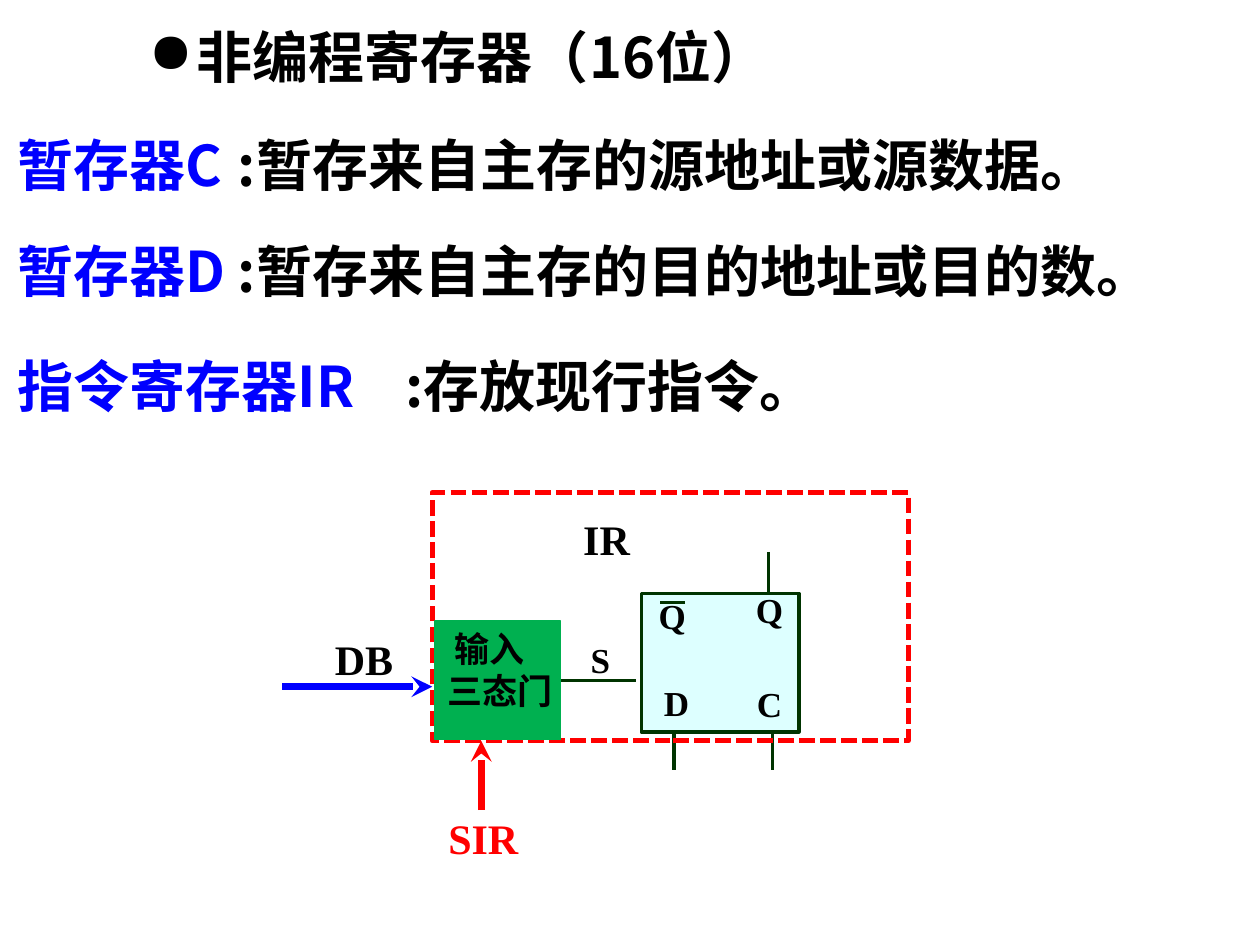
import pptx
import pptx.util
import pptx.dml.color
import pptx.enum.dml
import pptx.enum.shapes
import pptx.enum.text
import pptx.oxml
import pptx.oxml.ns
from pptx.util import Inches

BLACK, BLUE, RED = "000000", "0000FF", "FF0000"
GREEN, DARK_GREEN, PALE_CYAN = "00B050", "003400", "DDFFFF"
CHINESE_FONT, LATIN_FONT = "Noto Sans CJK SC", "Times New Roman"


def color(value):
    return pptx.dml.color.RGBColor.from_string(value)


def add_element(parent, tag, **attributes):
    element = pptx.oxml.parse_xml(f"<a:{tag} {pptx.oxml.ns.nsdecls('a')}/>")
    for name, value in attributes.items():
        element.set(name, value)
    parent.append(element)


class SlideBuilder:
    def __init__(self, slide):
        self.slide = slide

    def place(self, shape, left, top, width, height):
        shape.left, shape.top = Inches(left), Inches(top)
        shape.width, shape.height = Inches(width), Inches(height)

    def fill_text(self, shape, text, size, font, ink, wrap=True):
        frame = shape.text_frame
        frame.text = text
        frame.word_wrap = wrap
        frame.auto_size = pptx.enum.text.MSO_AUTO_SIZE.NONE
        frame.vertical_anchor = pptx.enum.text.MSO_ANCHOR.TOP
        for paragraph in frame.paragraphs:
            paragraph.alignment = pptx.enum.text.PP_ALIGN.LEFT
            for run in paragraph.runs:
                run.font.size = pptx.util.Pt(size)
                run.font.bold = True
                run.font.color.rgb = color(ink)
                run.font.name = font
                add_element(run._r.get_or_add_rPr(), "ea", typeface=font)

    def title(self, text, left, top, width, height):
        shape = self.slide.shapes.title
        self.place(shape, left, top, width, height)
        self.fill_text(shape, text, 32, CHINESE_FONT, BLACK)
        properties = shape.text_frame.paragraphs[0]._p.get_or_add_pPr()
        properties.set("marL", str(Inches(0.38)))
        properties.set("indent", str(Inches(-0.38)))
        add_element(properties, "buChar", char="●")

    def text(self, text, left, top, width, height, size, font=LATIN_FONT, ink=BLACK, wrap=True):
        shape = self.slide.shapes.add_textbox(
            Inches(left), Inches(top), Inches(width), Inches(height))
        self.fill_text(shape, text, size, font, ink, wrap)

    def box(self, left, top, width, height, fill, ink, weight, dash=None):
        shape = self.slide.shapes.add_shape(
            pptx.enum.shapes.MSO_SHAPE.RECTANGLE,
            Inches(left), Inches(top), Inches(width), Inches(height))
        shape.shadow.inherit = False
        if fill:
            shape.fill.solid()
            shape.fill.fore_color.rgb = color(fill)
        else:
            shape.fill.background()
        shape.line.color.rgb = color(ink)
        shape.line.width = pptx.util.Pt(weight)
        if dash:
            shape.line.dash_style = dash
        return shape

    def line(self, x1, y1, x2, y2, ink=DARK_GREEN, weight=2, arrow=False):
        connector = self.slide.shapes.add_connector(
            pptx.enum.shapes.MSO_CONNECTOR.STRAIGHT,
            Inches(x1), Inches(y1), Inches(x2), Inches(y2))
        connector.line.color.rgb = color(ink)
        connector.line.width = pptx.util.Pt(weight)
        properties = connector._element.spPr
        if arrow:
            add_element(properties.get_or_add_ln(), "tailEnd", type="stealth")
        add_element(properties, "effectLst")


def main():
    presentation = pptx.Presentation()
    presentation.slide_width, presentation.slide_height = Inches(10), Inches(7.5)
    builder = SlideBuilder(presentation.slides.add_slide(presentation.slide_layouts[5]))

    builder.title("非编程寄存器（16位）", 1.08, 0.13, 6.83, 0.64)
    registers = [
        ("暂存器C", ":暂存来自主存的源地址或源数据。", 0.99, 1.79),
        ("暂存器D", ":暂存来自主存的目的地址或目的数。", 1.83, 1.79),
        ("指令寄存器IR", ":存放现行指令。", 2.74, 3.12),
    ]
    for name, purpose, top, purpose_left in registers:
        builder.text(name, 0.04, top, 3.2, 0.64, 32, CHINESE_FONT, BLUE)
        builder.text(purpose, purpose_left, top, 8.67, 0.64, 32, CHINESE_FONT)

    builder.line(2.24, 5.45, 3.43, 5.45, BLUE, 4, arrow=True)
    builder.line(3.82, 6.43, 3.82, 5.88, RED, 4, arrow=True)

    builder.box(5.09, 4.71, 1.25, 1.1, PALE_CYAN, DARK_GREEN, 2)
    pins = [("S", 4.59, 5.02), ("D", 5.17, 5.36), ("C", 5.91, 5.37),
            ("Q", 5.9, 4.62), ("Q", 5.13, 4.67)]
    for pin, left, top in pins:
        builder.text(pin, left, top, 0.54, 0.38, 20)
    builder.line(5.24, 4.78, 5.44, 4.78, weight=1.5)
    builder.line(6.1, 4.38, 6.1, 4.71)
    for x in (5.35, 6.13):
        builder.line(x, 5.82, x, 6.11)
    builder.line(4.45, 5.4, 5.05, 5.4)

    builder.box(3.43, 3.91, 3.78, 1.97, None, RED, 3,
                pptx.enum.dml.MSO_LINE.SQUARE_DOT)
    signals = [("DB", 2.56, 4.98, 0.67, BLACK), ("SIR", 3.46, 6.4, 0.76, RED),
               ("IR", 4.53, 4.03, 0.58, BLACK)]
    for signal, left, top, width, ink in signals:
        builder.text(signal, left, top, width, 0.5, 24, ink=ink, wrap=False)

    gate = builder.box(3.45, 4.93, 1, 0.94, GREEN, GREEN, 1)
    builder.fill_text(gate, "输入\n三态门", 20, CHINESE_FONT, BLACK)
    gate.text_frame.margin_right = 0
    first_line = gate.text_frame.paragraphs[0]._p.get_or_add_pPr()
    first_line.set("indent", str(Inches(0.06)))

    presentation.save("out.pptx")


if __name__ == "__main__":
    main()
